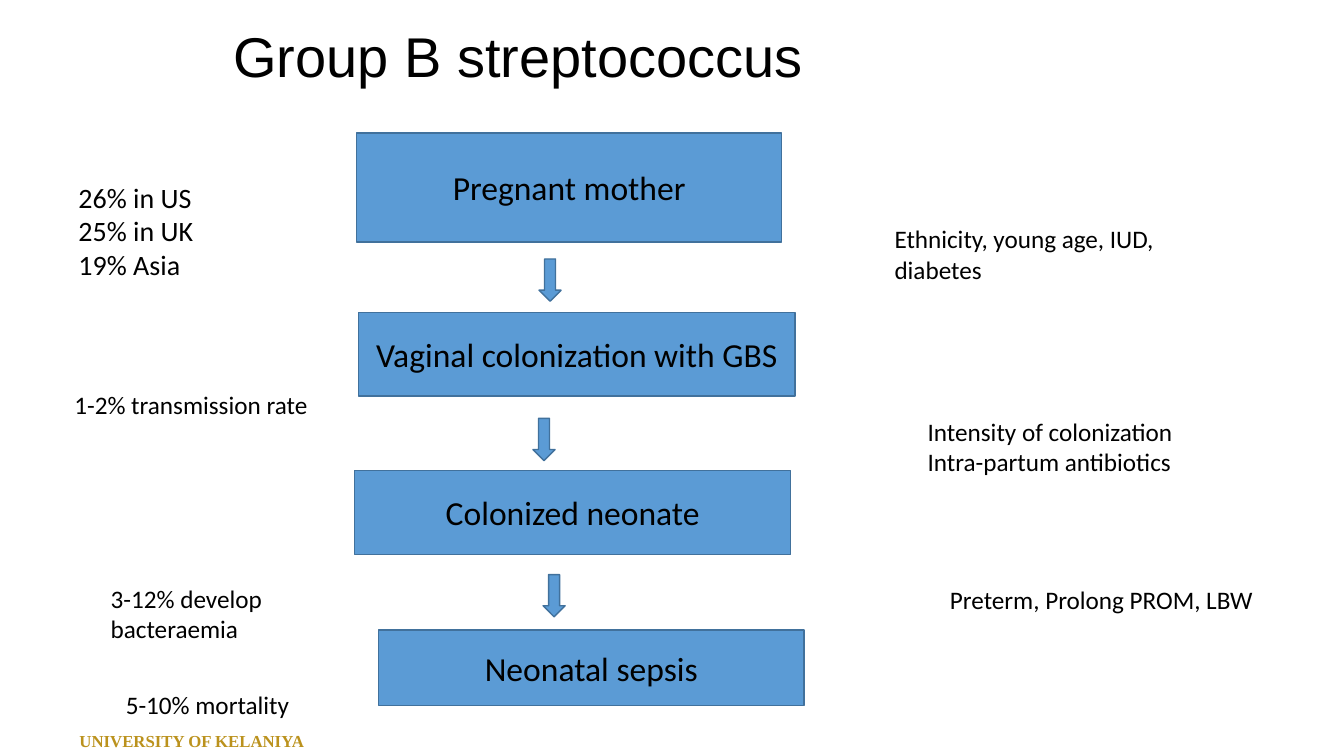
from dataclasses import dataclass

from pptx import Presentation
from pptx.dml.color import RGBColor
from pptx.enum.shapes import MSO_SHAPE as Shape
from pptx.enum.text import MSO_ANCHOR as Anchor, MSO_AUTO_SIZE as AutoSize, PP_ALIGN as Align
from pptx.util import Pt


@dataclass(frozen=True)
class Theme:
    ink: str = "000000"
    fill: str = "5B9BD5"
    outline: str = "41719C"
    gold: str = "BB921D"
    body_font: str = "Calibri"
    title_font: str = "Arial"
    footer_font: str = "Times New Roman"
    title_size: int = 40
    stage_size: int = 24
    rate_size: int = 20
    note_size: int = 18
    footer_size: int = 12


THEME = Theme()


@dataclass(frozen=True)
class Stage:
    text: str
    x: float
    y: float
    w: float
    h: float


@dataclass(frozen=True)
class Label:
    lines: tuple[str, ...]
    x: float
    y: float
    w: float
    h: float
    size: int = THEME.note_size
    font: str = THEME.body_font
    color: str = THEME.ink
    bold: bool = False


FOOTER = Label(("UNIVERSITY OF KELANIYA",), 49.7, 518.4, 274.3, 21.6,
               THEME.footer_size, THEME.footer_font, THEME.gold, True)
TITLE = Label(("Group B streptococcus",), 159.8, 12.2, 663.8, 55.4,
              THEME.title_size, THEME.title_font)

STAGES = (
    Stage("Pregnant mother", 254.9, 95, 303.8, 77.8),
    Stage("Vaginal colonization with GBS", 256.3, 223.2, 311.8, 59.8),
    Stage("Colonized neonate", 253.4, 336.2, 311.8, 59.8),
    Stage("Neonatal sepsis", 270.7, 450, 303.8, 54),
)

# Left: rates; right: risk factors
NOTES = (
    Label(("26% in US", "25% in UK", "19% Asia"), 49, 125.3, 192.2, 79.2, THEME.rate_size),
    Label(("1-2% transmission rate",), 46.1, 274.3, 216, 28.8),
    Label(("3-12% develop bacteraemia",), 72, 413.3, 200.2, 50.4),
    Label(("5-10% mortality",), 82.8, 488.9, 208.1, 28.8),
    Label(("Ethnicity, young age, IUD, diabetes",), 632.2, 156.2, 264.2, 50.4),
    Label(("Intensity of colonization", "Intra-partum antibiotics"), 655.9, 293.8, 264.2, 50.4),
    Label(("Preterm, Prolong PROM, LBW",), 671.8, 414, 231.8, 28.8),
)

ARROW_W, ARROW_H = 15.8, 30.2
ARROWS = ((385.2, 185), (380.9, 298.8), (388.1, 410.4))


def rgb(value: str) -> RGBColor:
    return RGBColor.from_string(value)


def style(p, size: int, font: str, color: str, bold: bool = False) -> None:
    p.font.size = Pt(size)
    p.font.name = font
    p.font.bold = bold
    p.font.color.rgb = rgb(color)


def add_block(s, kind: Shape, x: float, y: float, w: float, h: float):
    sp = s.shapes.add_shape(kind, Pt(x), Pt(y), Pt(w), Pt(h))
    sp.shadow.inherit = False
    sp.fill.solid()
    sp.fill.fore_color.rgb = rgb(THEME.fill)
    sp.line.color.rgb = rgb(THEME.outline)
    sp.line.width = Pt(1)
    return sp


def add_stage(s, stage: Stage) -> None:
    sp = add_block(s, Shape.RECTANGLE, stage.x, stage.y, stage.w, stage.h)
    tf = sp.text_frame
    tf.word_wrap = True
    tf.vertical_anchor = Anchor.MIDDLE
    p = tf.paragraphs[0]
    p.text = stage.text
    p.alignment = Align.CENTER
    style(p, THEME.stage_size, THEME.body_font, THEME.ink)


def add_label(s, label: Label) -> None:
    sp = s.shapes.add_textbox(Pt(label.x), Pt(label.y), Pt(label.w), Pt(label.h))
    tf = sp.text_frame
    tf.word_wrap = True
    tf.auto_size = AutoSize.SHAPE_TO_FIT_TEXT
    for i, line in enumerate(label.lines):
        p = tf.add_paragraph() if i else tf.paragraphs[0]
        p.text = line
        style(p, label.size, label.font, label.color, label.bold)


def main() -> None:
    prs = Presentation()
    prs.slide_width, prs.slide_height = Pt(960.48), Pt(540)
    s = prs.slides.add_slide(prs.slide_layouts[6])

    # Footer
    add_label(s, FOOTER)

    # Stages of infection
    for stage in STAGES:
        add_stage(s, stage)

    # Side notes
    for note in NOTES:
        add_label(s, note)

    # Arrows between stages
    for x, y in ARROWS:
        add_block(s, Shape.DOWN_ARROW, x, y, ARROW_W, ARROW_H)

    # Title
    add_label(s, TITLE)

    prs.save("out.pptx")


if __name__ == "__main__":
    main()
